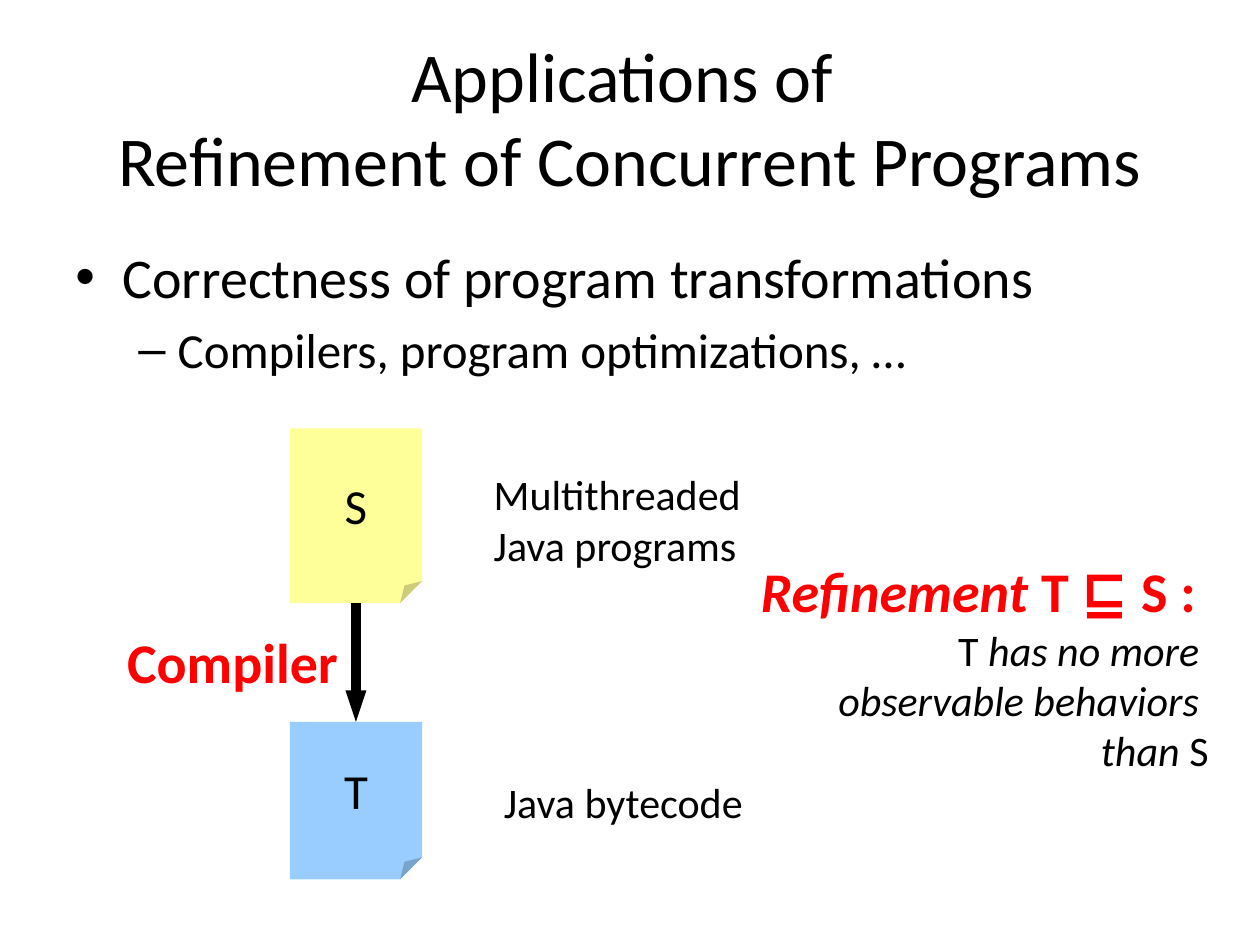
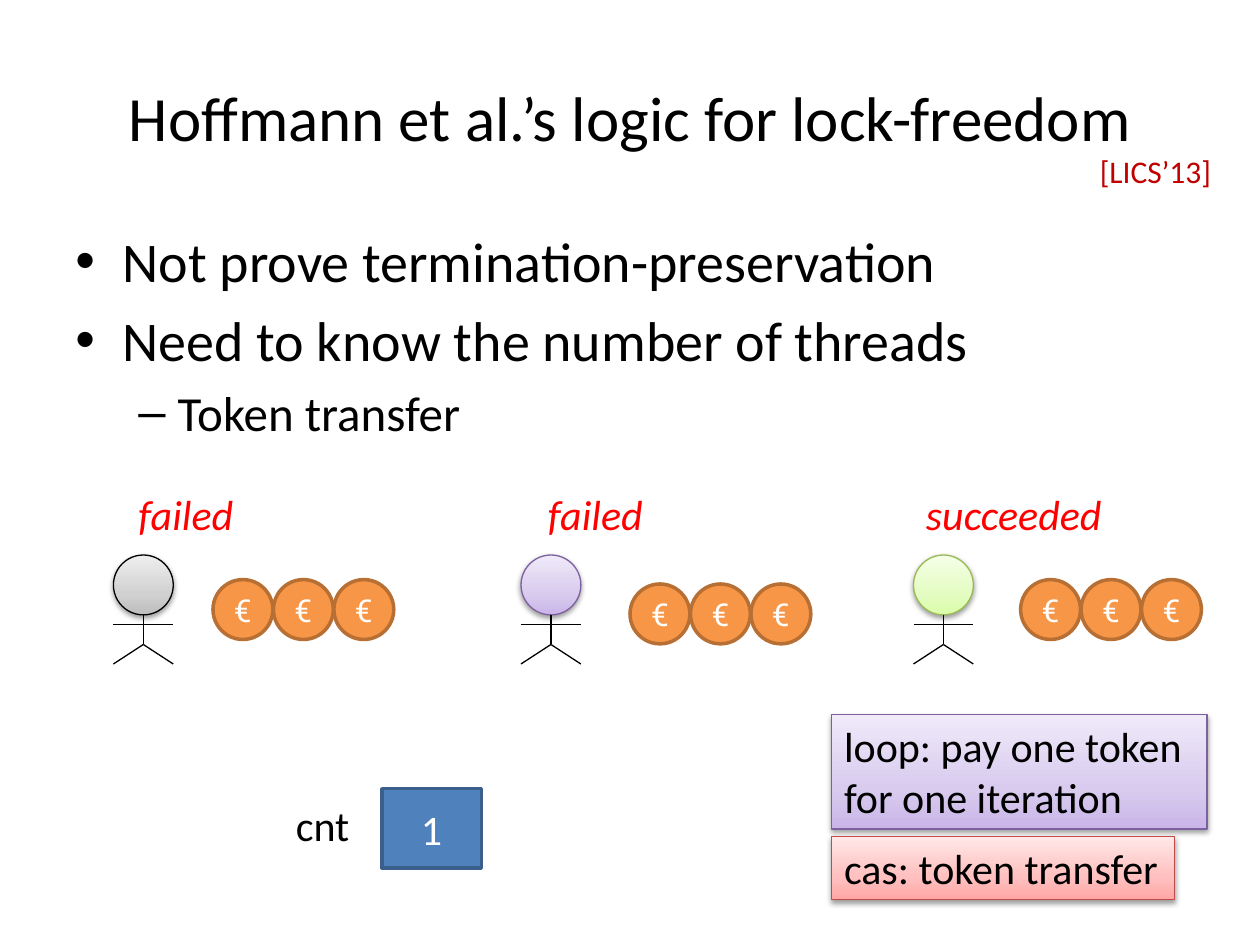
import copy
from dataclasses import dataclass

import lxml.etree
import pptx
import pptx.dml.color
import pptx.enum.shapes
import pptx.enum.text
import pptx.oxml.ns
import pptx.util

Align = pptx.enum.text.PP_ALIGN
Anchor = pptx.enum.text.MSO_ANCHOR
Shape = pptx.enum.shapes.MSO_SHAPE
qn = pptx.oxml.ns.qn


@dataclass(frozen=True)
class Theme:
    font: str = "Calibri"
    symbol_font: str = "Roboto"
    black: str = "000000"
    white: str = "FFFFFF"
    red: str = "FF0000"
    dark_red: str = "C00000"
    source_note: str = "FFFF99"
    target_note: str = "99CCFF"
    coin: str = "F79646"
    coin_edge: str = "B76F34"
    counter: str = "4F81BD"
    counter_edge: str = "3A5F8C"
    purple_edge: str = "7D60A0"
    green_edge: str = "98B955"
    rose_edge: str = "BF4C48"
    # Gradients run from the bottom of a shape to its top
    gray: tuple = ("BDBDBD", "D1D1D1", "EEEEEE")
    purple: tuple = ("C9B5E8", "D8CBEE", "F0EAF9")
    green: tuple = ("DAFDA7", "E4FCC2", "F5FFE7")
    rose: tuple = ("FFA6A5", "FFC0BF", "FFE7E7")
    stops: tuple = (0, 0.35, 1)
    title: int = 40
    small_title: int = 36
    body: int = 32
    sub: int = 28
    label: int = 24
    small: int = 18
    hairline: float = 0.75
    outline: float = 2
    arrow: float = 6


theme = Theme()
rgb = pptx.dml.color.RGBColor.from_string

deck = pptx.Presentation()
deck.slide_width = pptx.util.Inches(10)
deck.slide_height = pptx.util.Inches(7.5)
COL = deck.slide_width / 40
ROW = deck.slide_height / 30


def place(shapes, kind, at, lines=(), size=theme.label, color=theme.black, fill=None,
          edge=None, weight=theme.hairline, align=Align.LEFT, anchor=Anchor.TOP,
          wrap=False, font=theme.font, bold=False, italic=None):
    """Add a shape, or a text box if kind is None, at (left, top, width, height) in grid units.

    A line is a string, or a list of (text, italic, font) spans.
    """
    left, top, width, height = at
    frame = [int(v) for v in (left * COL, top * ROW, width * COL, height * ROW)]
    if kind is None:
        box = shapes.add_textbox(*frame)
    else:
        box = shapes.add_shape(kind, *frame)
        box.shadow.inherit = False
        if isinstance(fill, tuple):
            # Shaded shapes carry a three-stop gradient and a soft shadow
            box.fill.gradient()
            box.fill.gradient_angle = 90
            stop_list = box._element.spPr.find(".//" + qn("a:gsLst"))
            stop_list.insert(1, copy.deepcopy(stop_list[0]))
            for stop, position, tint in zip(box.fill.gradient_stops, theme.stops, fill):
                stop.position = position
                stop.color.rgb = rgb(tint)
            effects = box._element.spPr.find(qn("a:effectLst"))
            shadow = lxml.etree.SubElement(
                effects, qn("a:outerShdw"), blurRad=str(pptx.util.Pt(3.1)),
                dist=str(pptx.util.Pt(1.6)), dir="5400000", rotWithShape="0")
            tone = lxml.etree.SubElement(shadow, qn("a:srgbClr"), val=theme.black)
            lxml.etree.SubElement(tone, qn("a:alpha"), val="38000")
        else:
            box.fill.solid()
            box.fill.fore_color.rgb = rgb(fill)
        if edge:
            box.line.color.rgb = rgb(edge)
            box.line.width = pptx.util.Pt(weight)
        else:
            box.line.fill.background()
    text = box.text_frame
    text.word_wrap = wrap
    text.vertical_anchor = anchor
    for number, line in enumerate(lines):
        para = text.add_paragraph() if number else text.paragraphs[0]
        para.alignment = align
        para.font.size = pptx.util.Pt(size)
        para.font.color.rgb = rgb(color)
        para.font.bold = bold
        para.font.name = font
        if isinstance(line, str):
            para.text = line
            para.font.italic = italic
        else:
            for words, slanted, face in line:
                span = para.add_run()
                span.text = words
                span.font.italic = slanted
                span.font.name = face
    return box


def draw_line(shapes, start, end, weight=theme.hairline):
    """Add a black straight line between two (column, row) points."""
    line = shapes.add_connector(
        pptx.enum.shapes.MSO_CONNECTOR.STRAIGHT,
        int(start[0] * COL), int(start[1] * ROW), int(end[0] * COL), int(end[1] * ROW))
    line.line.color.rgb = rgb(theme.black)
    line.line.width = pptx.util.Pt(weight)
    lxml.etree.SubElement(line._element.spPr, qn("a:effectLst"))
    return line


# Titles and bullet lists of both slides
outlines = [
    ("Applications of \vRefinement of Concurrent Programs", theme.title, 7.5,
     [(0, "Correctness of program transformations"),
      (1, "Compilers, program optimizations, …")]),
    ("Hoffmann et al.’s logic for lock-freedom", theme.small_title, 7,
     [(0, "Not prove termination-preservation"),
      (0, "Need to know the number of threads"),
      (1, "Token transfer")]),
]
# Per level: bullet, left margin and hanging indent in columns, type size
levels = [("•", 1.5, 1.5, theme.body), ("–", 3.25, 1.25, theme.sub)]
pages = []
for title, title_size, body_top, bullets in outlines:
    page = deck.slides.add_slide(deck.slide_layouts[6])
    pages.append(page)
    place(page.shapes, None, (2, 1.2, 36, 5), [title], title_size,
          align=Align.CENTER, anchor=Anchor.MIDDLE, wrap=True)
    body = place(page.shapes, None, (2, body_top, 36, 19.8), wrap=True)
    for number, (level, words) in enumerate(bullets):
        mark, margin, hang, size = levels[level]
        para = body.text_frame.add_paragraph() if number else body.text_frame.paragraphs[0]
        para.text = words
        para.level = level
        if number:
            para.space_before = pptx.util.Pt(0.2 * size)
        props = para._p.get_or_add_pPr()
        props.set("marL", str(int(margin * COL)))
        props.set("indent", str(int(-hang * COL)))
        lxml.etree.SubElement(props, qn("a:buFont"), typeface="Arial")
        lxml.etree.SubElement(props, qn("a:buChar"), char=mark)
        para.font.size = pptx.util.Pt(size)
        para.font.name = theme.font
        para.font.color.rgb = rgb(theme.black)

# Slide 1: source and target programs joined by the compiler arrow
shapes = pages[0].shapes
source, target = [
    place(shapes, Shape.FOLDED_CORNER, (9.2, top, 4.2, height), [name], theme.sub,
          fill=fill, align=Align.CENTER, anchor=Anchor.MIDDLE)
    for name, top, height, fill in [("S", 13.6, 5.55, theme.source_note),
                                    ("T", 22.92, 5, theme.target_note)]]
arrow = draw_line(shapes, (11.3, 19.15), (11.3, 22.92), theme.arrow)
arrow.begin_connect(source, 2)
arrow.end_connect(target, 0)
lxml.etree.SubElement(arrow.line._get_or_add_ln(), qn("a:tailEnd"),
                      type="triangle", w="sm", len="med")

place(shapes, None, (3.64, 19.72, 7.56, 2.56), ["Compiler"], theme.body, theme.red, bold=True)
place(shapes, None, (15.28, 14.68, 9.04, 3.64), ["Multithreaded", "Java programs"])
place(shapes, None, (15.6, 24.44, 8.48, 2), ["Java bytecode"])

# Slide 1: what refinement means
claim = place(shapes, None, (22.6, 17.48, 16.16, 7.4), [
    [("Refinement ", True, theme.font), ("T ", False, theme.font),
     ("⊑", False, theme.symbol_font), (" S : ", False, theme.font)],
    [("T ", False, theme.font), ("has no more ", True, theme.font)],
    [("observable behaviors ", True, theme.font)],
    [("than", True, theme.font), (" S", False, theme.font)],
], align=Align.RIGHT, wrap=True)
heading = claim.text_frame.paragraphs[0].font
heading.size = pptx.util.Pt(theme.body)
heading.bold = True
heading.color.rgb = rgb(theme.red)

# Slide 2: three threads, each with its outcome and three tokens
shapes = pages[1].shapes
HEAD = 1.9
PITCH = 1.92
threads = [
    # outcome, its left and width, figure left, first coin, coin top, head fill and edge
    ("failed", 4, 3.84, 3.6, 6.76, 18.4, theme.gray, theme.black),
    ("failed", 17, 3.84, 16.54, 20, 18.54, theme.purple, theme.purple_edge),
    ("succeeded", 29, 6.44, 29, 32.4, 18.4, theme.green, theme.green_edge),
]
for outcome, label_left, label_width, left, coin_left, coin_top, fill, edge in threads:
    place(shapes, None, (label_left, 15.32, label_width, 2), [outcome],
          color=theme.red, italic=True)
    figure = shapes.add_group_shape().shapes
    place(figure, Shape.OVAL, (left, 17.62, HEAD, HEAD), fill=fill, edge=edge)
    middle, right = left + HEAD / 2, left + HEAD
    hip = (middle, 20.46)
    for start, end in [((left, 19.82), (right, 19.82)), ((middle, 19.52), hip),
                       (hip, (left, 21.08)), (hip, (right, 21.08))]:
        draw_line(figure, start, end)
    for number in range(3):
        place(shapes, Shape.OVAL, (coin_left + number * PITCH, coin_top, HEAD, HEAD), ["€"],
              theme.small, theme.white, theme.coin, theme.coin_edge, theme.outline,
              Align.CENTER, Anchor.MIDDLE, font=theme.symbol_font)

# Slide 2: shared counter
place(shapes, None, (9, 25.2, 2.52, 2), ["cnt"])
place(shapes, Shape.RECTANGLE, (12.12, 25.04, 3.16, 2.52), ["1"], theme.label, theme.white,
      theme.counter, theme.counter_edge, theme.outline, Align.CENTER, Anchor.MIDDLE)

# Slide 2: token rules and citation
place(shapes, Shape.RECTANGLE, (26.4, 22.68, 11.92, 3.64),
      ["loop: pay one token", "for one iteration"], fill=theme.purple, edge=theme.purple_edge)
place(shapes, Shape.RECTANGLE, (26.4, 26.56, 10.88, 2),
      ["cas: token transfer"], fill=theme.rose, edge=theme.rose_edge)
place(shapes, None, (34.52, 4.64, 4.36, 1.6), ["[LICS’13]"], theme.small, theme.dark_red)

deck.save("out.pptx")
